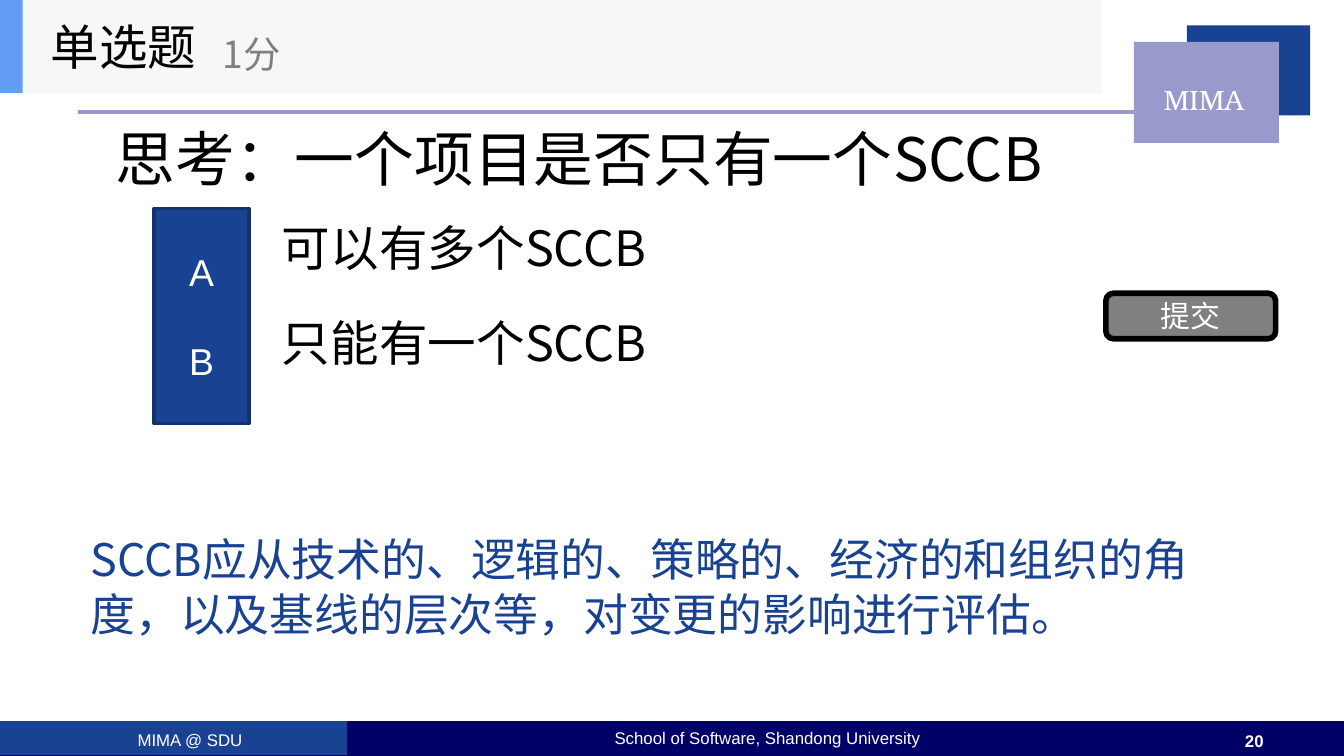
from pptx import Presentation
from pptx.dml.color import RGBColor
from pptx.enum.shapes import MSO_CONNECTOR, MSO_SHAPE
from pptx.enum.text import MSO_ANCHOR, MSO_AUTO_SIZE, PP_ALIGN
from pptx.oxml.ns import qn
from pptx.util import Cm, Pt

CHINESE = "Noto Sans CJK SC"
BLUE, LILAC, NAVY = "194293", "9999CC", "000066"
WHITE, BLACK, GRAY = "FFFFFF", "000000", "808080"
TOP, MIDDLE = MSO_ANCHOR.TOP, MSO_ANCHOR.MIDDLE
LEFT, CENTER = PP_ALIGN.LEFT, PP_ALIGN.CENTER


def color(value):
    return RGBColor.from_string(value)


def write(shape, lines, size, text_color, font_name=CHINESE, anchor=MIDDLE,
          alignment=LEFT, bold=False, **spacing):
    frame = shape.text_frame
    frame_format = {"word_wrap": True, "auto_size": MSO_AUTO_SIZE.NONE,
                    "vertical_anchor": anchor}
    for name, value in frame_format.items():
        setattr(frame, name, value)
    frame.text = lines
    for index, paragraph in enumerate(frame.paragraphs):
        paragraph.alignment = alignment
        for name, value in spacing.items():
            if index or name != "space_before":
                setattr(paragraph, name, value)
        for run in paragraph.runs:
            for name, value in {"size": Pt(size), "name": font_name, "bold": bold}.items():
                setattr(run.font, name, value)
            run.font.color.rgb = color(text_color)
            east_asian = run.font._element.makeelement(qn("a:ea"), {"typeface": font_name})
            run.font._element.find(qn("a:latin")).addnext(east_asian)


presentation = Presentation()
presentation.slide_width, presentation.slide_height = Cm(25.4), Cm(14.28)
layout = presentation.slide_layouts[5]
for parent in (layout, presentation.slide_master):
    for placeholder in list(parent.placeholders):
        if placeholder.top > presentation.slide_height:
            placeholder._element.getparent().remove(placeholder._element)
slide = presentation.slides.add_slide(layout)

rule = slide.shapes.add_connector(
    MSO_CONNECTOR.STRAIGHT, Cm(1.48), Cm(2.11), Cm(21.59), Cm(2.11))
rule.line.color.rgb = color(LILAC)
rule.line.width = Pt(2.25)
properties = rule._element.spPr
properties.append(properties.makeelement(qn("a:effectLst"), {}))

rectangle, rounded = MSO_SHAPE.RECTANGLE, MSO_SHAPE.ROUNDED_RECTANGLE
blocks = {
    "footer bar": (rectangle, 0, 13.62, 25.4, 0.66, NAVY, None, 0),
    "badge back": (rectangle, 22.43, 0.48, 2.33, 1.7, BLUE, None, 0),
    "badge front": (rectangle, 21.43, 0.79, 2.74, 1.91, LILAC, None, 0),
    "footer left": (rectangle, 0, 13.62, 6.56, 0.64, BLUE, None, 0),
    "submit button": (rounded, 20.9, 5.54, 3.21, 0.86, GRAY, BLACK, 3),
    "option letters": (rectangle, 2.91, 3.94, 1.8, 4.06, BLUE, "12316D", 2),
    "header band": (rectangle, 0, 0, 20.83, 1.76, "F6F7F8", None, 0),
    "header accent": (rectangle, 0, 0, 0.43, 1.76, "639EF4", None, 0),
}
shapes = {}
for name, (kind, left, top, width, height, fill, line, weight) in blocks.items():
    shape = slide.shapes.add_shape(kind, Cm(left), Cm(top), Cm(width), Cm(height))
    shape.shadow.inherit = False
    shape.fill.solid()
    shape.fill.fore_color.rgb = color(fill)
    if line:
        shape.line.color.rgb = color(line)
        shape.line.width = Pt(weight)
    else:
        shape.line.fill.background()
    shapes[name] = shape

write(shapes["submit button"], "提交", 16, WHITE, alignment=CENTER)
write(shapes["option letters"], "A\nB", 20, WHITE, "Arial", alignment=CENTER,
      space_before=Pt(24))

title = slide.shapes.title
title_place = {"left": Cm(1.93), "top": Cm(0.75), "width": Cm(20.32), "height": Cm(4.47)}
for name, value in title_place.items():
    setattr(title, name, value)
write(title, "思考：一个项目是否只有一个SCCB", 32, BLACK)

footer = {"font_name": "Arial", "anchor": TOP, "alignment": CENTER}
texts = [
    ("MIMA", 21.16, 1.44, 3.18, 0.89, 15, WHITE, {**footer, "font_name": "TeX Gyre Bonum"}),
    ("MIMA @ SDU", 0.63, 13.65, 5.92, 0.36, 9, WHITE, footer),
    ("School of Software, Shandong University", 7.3, 13.62, 14.4, 0.53, 9, WHITE, footer),
    ("20", 23.11, 13.67, 1.19, 0.38, 9, WHITE, {**footer, "bold": True}),
    ("SCCB应从技术的、逻辑的、策略的、经济的和组织的角度，以及基线的层次等，对变更的影响进行评估。",
     1.46, 9.92, 21.49, 2.31, 24, BLUE, {"anchor": TOP, "line_spacing": Pt(29)}),
    ("单选题", 0.71, 0, 4.34, 1.76, 26, BLACK, {}),
    ("1分", 3.96, 0.3, 6.35, 1.42, 20, GRAY, {}),
]
for index, option in enumerate(["可以有多个SCCB", "只能有一个SCCB"]):
    texts.append((option, 5.08, 4 + 1.78 * index, 17.78, 1.35, 26, BLACK, {}))
for text, left, top, width, height, size, text_color, options in texts:
    box = slide.shapes.add_textbox(Cm(left), Cm(top), Cm(width), Cm(height))
    write(box, text, size, text_color, **options)

presentation.save("out.pptx")
